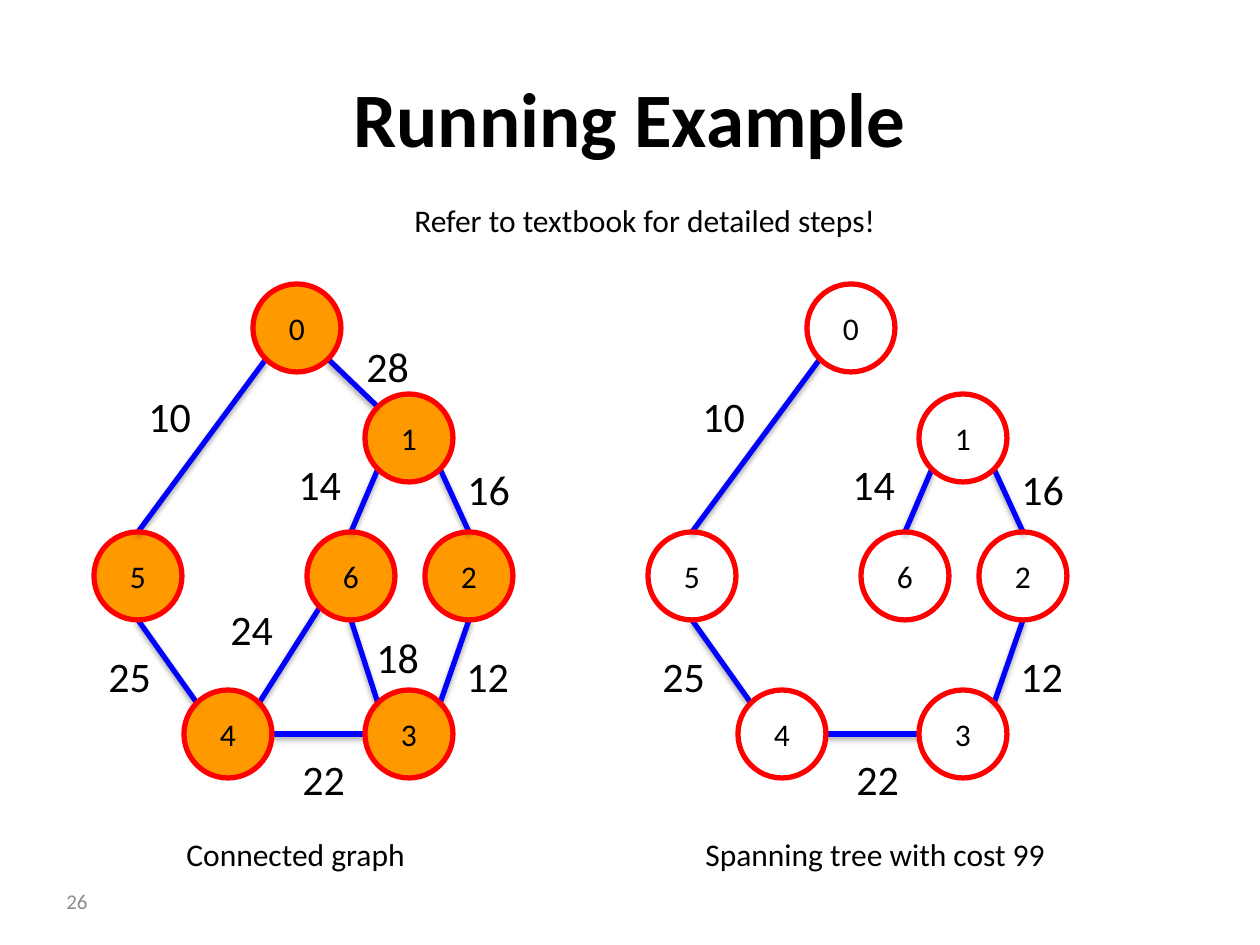
from math import hypot
from lxml.etree import SubElement
from pptx import Presentation
from pptx.dml.color import RGBColor
from pptx.enum.shapes import MSO_CONNECTOR, MSO_SHAPE
from pptx.enum.text import MSO_ANCHOR, MSO_AUTO_SIZE, PP_ALIGN
from pptx.oxml.ns import qn
from pptx.util import Emu, Pt

PAGE = (1260, 945)
TITLE = ("Running Example", (63, 38, 1134, 157))
NOTE = ("Refer to textbook for detailed steps!", (402, 195, 491, 50))
NUMBER = ("26", (0, 876, 100, 50))

NODE = 88
DISC_MARGIN = 1
NODES = {
    "0": (253, 284), "1": (365, 394), "3": (365, 690), "2": (425, 532),
    "4": (184, 690), "5": (94, 532), "6": (307, 532),
}
SIDES = {
    "top": (0, -1), "bottom": (0, 1), "left": (-1, 0), "right": (1, 0),
    "top left": (-1, -1), "top right": (1, -1),
    "bottom left": (-1, 1), "bottom right": (1, 1),
}
EDGES = {
    "28": ("1", "top left", "0", "bottom right"),
    "16": ("2", "top", "1", "bottom right"),
    "14": ("1", "bottom left", "6", "top"),
    "10": ("5", "top", "0", "bottom left"),
    "12": ("2", "bottom", "3", "top right"),
    "18": ("3", "top left", "6", "bottom"),
    "24": ("6", "bottom left", "4", "top right"),
    "25": ("5", "bottom", "4", "top left"),
    "22": ("3", "left", "4", "right"),
}
WEIGHT_SIZE = (68, 63)
WEIGHTS = {
    "10": (136, 384), "14": (286, 452), "24": (218, 597),
    "25": (96, 644), "22": (290, 747), "18": (364, 625),
    "12": (454, 644), "16": (455, 457), "28": (354, 334),
}
GRAPHS = [
    {"shift": 0, "filled": True, "edges": list(EDGES),
     "caption": ("Connected graph", (174, 829, 247, 50))},
    {"shift": 554, "filled": False,
     "edges": ["16", "14", "10", "12", "25", "22"],
     "caption": ("Spanning tree with cost 99", (693, 829, 369, 50))},
]


class Theme:
    font = "Calibri"
    ink = RGBColor(0, 0, 0)
    muted = RGBColor(0x8C, 0x8C, 0x8C)
    disc = RGBColor(0xFF, 0x99, 0)
    ring = RGBColor(0xFF, 0, 0)
    edge = RGBColor(0, 0, 0xFF)
    shadow = "000000"
    stroke = Pt(3)
    title, weight, body, number = Pt(44), Pt(24), Pt(18), Pt(12)


def px(*lengths):
    return [Emu(round(length * 914400 / 126)) for length in lengths]


def write(frame, text, size, align=PP_ALIGN.LEFT, color=Theme.ink, bold=False):
    para = frame.paragraphs[0]
    para.alignment = align
    span = para.add_run()
    span.text = text
    span.font.name = Theme.font
    span.font.size = size
    span.font.bold = bold
    span.font.color.rgb = color


def add_label(page, text, place, size):
    frame = page.shapes.add_textbox(*px(*place)).text_frame
    frame.word_wrap = False
    frame.auto_size = MSO_AUTO_SIZE.SHAPE_TO_FIT_TEXT
    write(frame, text, size)


def add_circle(page, left, top, size):
    circle = page.shapes.add_shape(MSO_SHAPE.OVAL, *px(left, top, size, size))
    circle.shadow.inherit = False
    return circle


def add_disc(page, left, top):
    disc = add_circle(page, left - DISC_MARGIN, top - DISC_MARGIN, NODE + 2 * DISC_MARGIN)
    disc.fill.solid()
    disc.fill.fore_color.rgb = Theme.disc
    disc.line.fill.background()


def add_node(page, name, left, top):
    ring = add_circle(page, left, top, NODE)
    ring.fill.background()
    ring.line.color.rgb = Theme.ring
    ring.line.width = Theme.stroke
    ring.text_frame.vertical_anchor = MSO_ANCHOR.MIDDLE
    write(ring.text_frame, name, Theme.body, PP_ALIGN.CENTER)


def rim_point(node, side, shift):
    left, top = NODES[node]
    across, down = SIDES[side]
    reach = NODE / 2 / hypot(across, down)
    return left + shift + NODE / 2 + across * reach, top + NODE / 2 + down * reach


def add_edge(page, start, start_side, end, end_side, shift):
    ends = rim_point(start, start_side, shift) + rim_point(end, end_side, shift)
    edge = page.shapes.add_connector(MSO_CONNECTOR.STRAIGHT, *px(*ends))
    edge.line.color.rgb = Theme.edge
    edge.line.width = Theme.stroke
    effects = SubElement(edge._element.spPr, qn("a:effectLst"))
    shadow = SubElement(effects, qn("a:outerShdw"), blurRad="40000", dist="23000",
                        dir="5400000", rotWithShape="0")
    color = SubElement(shadow, qn("a:srgbClr"), val=Theme.shadow)
    SubElement(color, qn("a:alpha"), val="35000")


def add_graph(page, graph):
    shift = graph["shift"]
    if graph["filled"]:
        for left, top in NODES.values():
            add_disc(page, left + shift, top)
    for weight in graph["edges"]:
        add_edge(page, *EDGES[weight], shift)
    for name, (left, top) in NODES.items():
        add_node(page, name, left + shift, top)
    for weight in graph["edges"]:
        left, top = WEIGHTS[weight]
        add_label(page, weight, (left + shift, top, *WEIGHT_SIZE), Theme.weight)
    add_label(page, *graph["caption"], Theme.body)


def main():
    deck = Presentation()
    deck.slide_width, deck.slide_height = px(*PAGE)
    page = deck.slides.add_slide(deck.slide_layouts[5])

    text, place = TITLE
    title = page.shapes.title
    title.left, title.top, title.width, title.height = px(*place)
    title.text_frame.vertical_anchor = MSO_ANCHOR.MIDDLE
    write(title.text_frame, text, Theme.title, PP_ALIGN.CENTER, bold=True)

    for graph in GRAPHS:
        add_graph(page, graph)
    add_label(page, *NOTE, Theme.body)

    text, place = NUMBER
    frame = page.shapes.add_textbox(*px(*place)).text_frame
    frame.word_wrap = True
    frame.vertical_anchor = MSO_ANCHOR.MIDDLE
    write(frame, text, Theme.number, PP_ALIGN.RIGHT, Theme.muted)

    deck.save("out.pptx")


if __name__ == "__main__":
    main()
